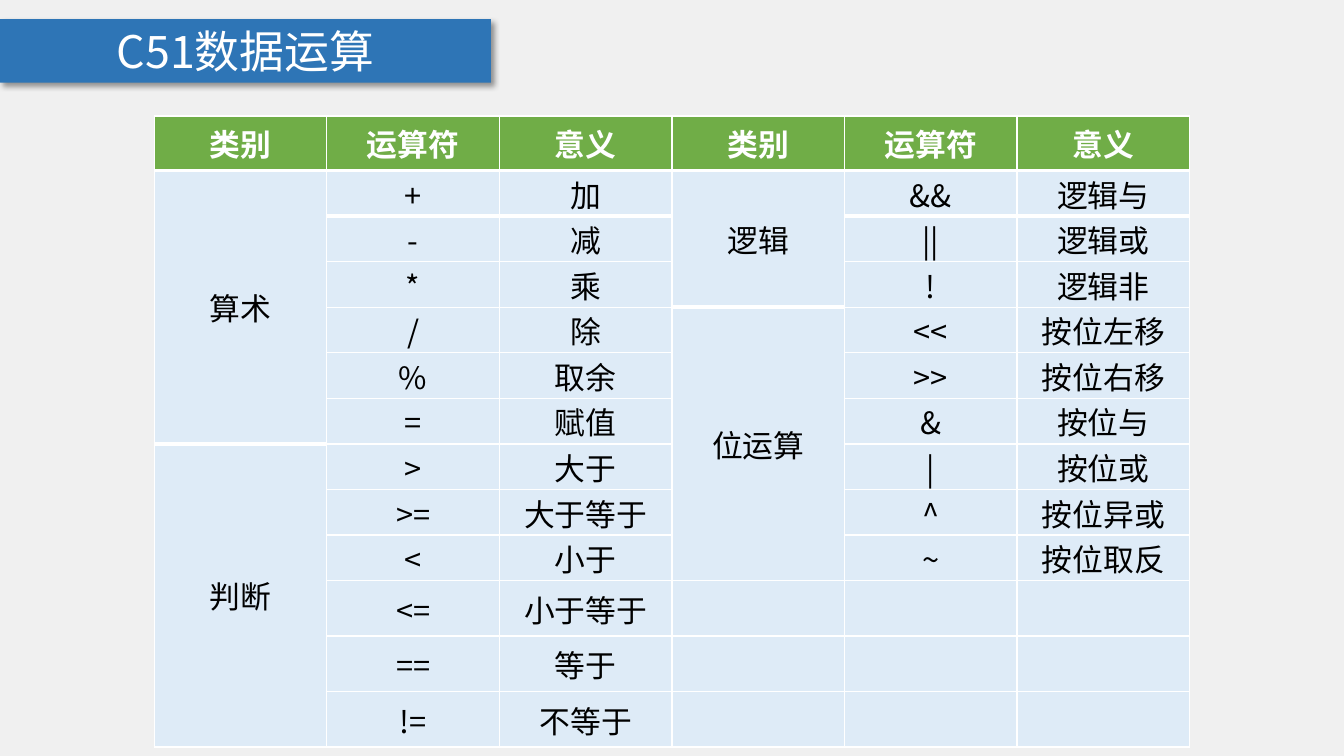
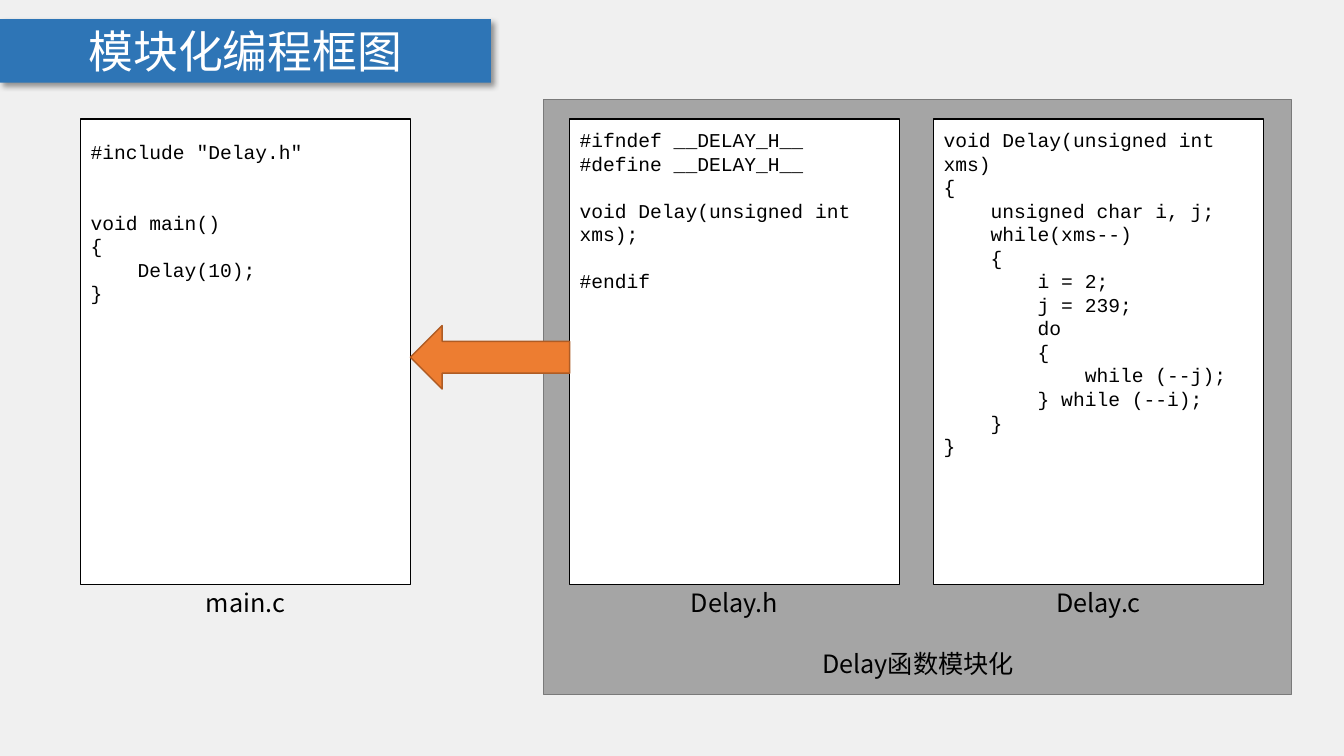
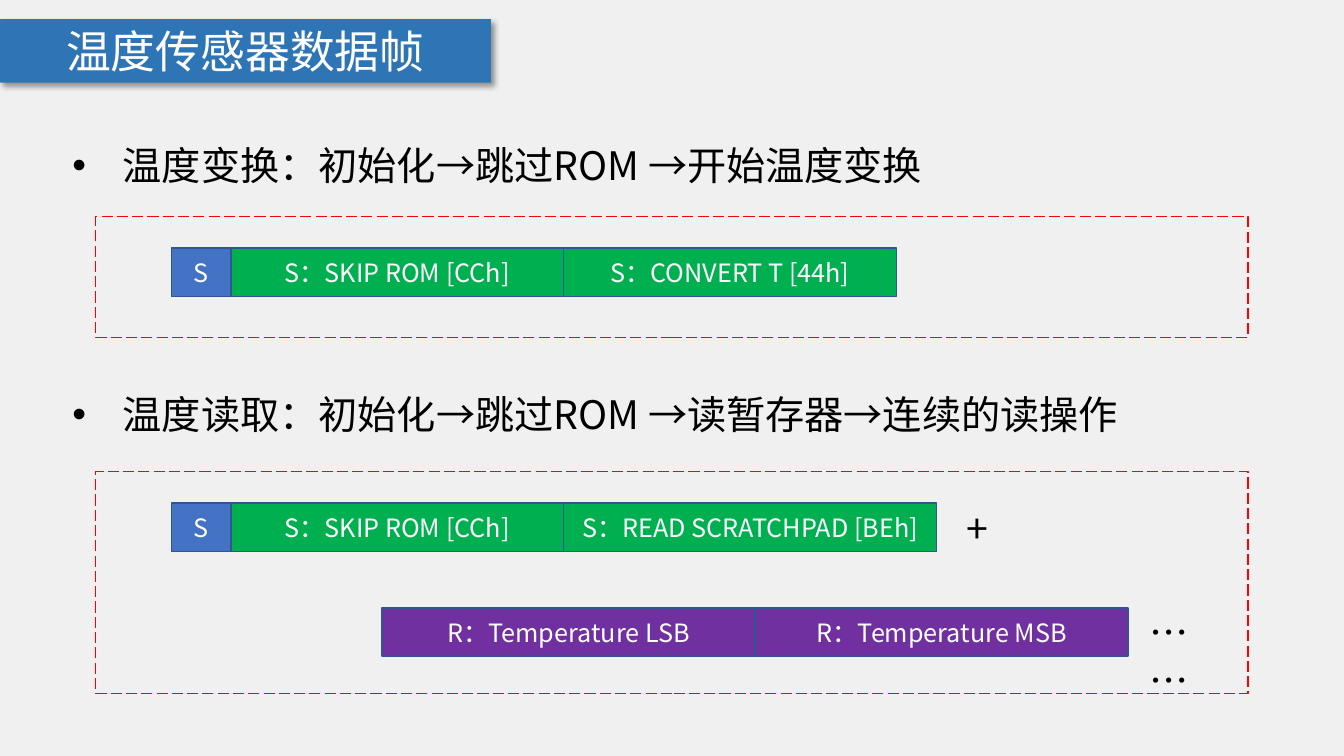
from lxml.etree import Element, SubElement
from pptx import Presentation
from pptx.dml.color import RGBColor
from pptx.enum.dml import MSO_LINE
from pptx.enum.shapes import MSO_SHAPE
from pptx.enum.text import MSO_ANCHOR, MSO_AUTO_SIZE, PP_ALIGN
from pptx.oxml.ns import qn
from pptx.util import Inches, Pt

SANS = "Noto Sans CJK SC"
MONO = "Courier New"
WHITE, BLACK = "FFFFFF", "000000"
PAGE, BANNER = "F0F0F0", "2E75B6"
TABLE_HEAD, TABLE_BODY = "70AD47", "DEEBF7"
MODULE, MODULE_EDGE = "A5A5A5", "7A7A7A"
ARROW, ARROW_EDGE = "ED7D31", "AF5C24"
START, SEND, RECEIVE, FRAME_EDGE = "4472C4", "00B050", "7030A0", "325491"
DASHED = "FF0000"
CODE_LINE = 16.8

OPERATORS = [
    [
        ("算术", [("+", "加"), ("-", "减"), ("*", "乘"), ("/", "除"), ("%", "取余"), ("=", "赋值")]),
        ("判断", [(">", "大于"), (">=", "大于等于"), ("<", "小于"), ("<=", "小于等于"),
                ("==", "等于"), ("!=", "不等于")]),
    ],
    [
        ("逻辑", [("&&", "逻辑与"), ("||", "逻辑或"), ("!", "逻辑非")]),
        ("位运算", [("<<", "按位左移"), (">>", "按位右移"), ("&", "按位与"), ("|", "按位或"),
                 ("^", "按位异或"), ("~", "按位取反")]),
    ],
]

MAIN_C = """#include "Delay.h"


void main()
{
    Delay(10);
}"""

DELAY_H = """#ifndef __DELAY_H__
#define __DELAY_H__

void Delay(unsigned int xms);

#endif"""

DELAY_C = """void Delay(unsigned int xms)
{
    unsigned char i, j;
    while(xms--)
    {
        i = 2;
        j = 239;
        do
        {
            while (--j);
        } while (--i);
    }
}"""


def rgb(value):
    return RGBColor.from_string(value)


def write(paragraph, text, size=18, color=BLACK, font=SANS, bold=False, align=PP_ALIGN.CENTER):
    paragraph.alignment = align
    run = paragraph.add_run()
    run.text = text
    run.font.size = Pt(size)
    run.font.bold = bold
    run.font.color.rgb = rgb(color)
    run.font.name = font
    SubElement(run._r.get_or_add_rPr(), qn("a:ea"), typeface=font)


def add_block(slide, left, top, width, height, fill=None, line=None, kind=MSO_SHAPE.RECTANGLE):
    block = slide.shapes.add_shape(kind, Inches(left), Inches(top), Inches(width), Inches(height))
    block.shadow.inherit = False
    if fill:
        block.fill.solid()
        block.fill.fore_color.rgb = rgb(fill)
    else:
        block.fill.background()
    if line:
        block.line.color.rgb = rgb(line)
        block.line.width = Pt(1)
    else:
        block.line.fill.background()
    block.text_frame.word_wrap = True
    block.text_frame.vertical_anchor = MSO_ANCHOR.MIDDLE
    return block


def add_label(slide, left, top, width, height, text, **style):
    label = slide.shapes.add_textbox(Inches(left), Inches(top), Inches(width), Inches(height))
    label.text_frame.word_wrap = True
    label.text_frame.auto_size = MSO_AUTO_SIZE.SHAPE_TO_FIT_TEXT
    paragraph = label.text_frame.paragraphs[0]
    write(paragraph, text, **style)
    return paragraph


def add_titled_slide(prs, title):
    slide = prs.slides.add_slide(prs.slide_layouts[6])
    banner = add_block(slide, 0, 0.19, 4.87, 0.63, BANNER)
    write(banner.text_frame.paragraphs[0], title, size=32, color=WHITE)
    effects = banner._element.spPr.find(qn("a:effectLst"))
    shadow = SubElement(effects, qn("a:outerShdw"), blurRad=str(Pt(4)), dist=str(Pt(3)),
                        dir=str(45 * 60000), algn="tl", rotWithShape="0")
    tint = SubElement(shadow, qn("a:srgbClr"), val=BLACK)
    SubElement(tint, qn("a:alpha"), val="40000")
    return slide


def fill_cell(cell, text, fill, color=BLACK, bold=False, margins=(0.01, 0.01, 0.01, 0)):
    cell.fill.solid()
    cell.fill.fore_color.rgb = rgb(fill)
    cell.vertical_anchor = MSO_ANCHOR.MIDDLE
    cell.margin_left, cell.margin_top, cell.margin_right, cell.margin_bottom = map(Inches, margins)
    if text:
        write(cell.text_frame.paragraphs[0], text, size=22, color=color, bold=bold)


def set_edge(cell, side, width):
    edge = Element(qn(f"a:ln{side}"), w=str(Pt(width)))
    SubElement(SubElement(edge, qn("a:solidFill")), qn("a:srgbClr"), val=WHITE)
    cell._tc.get_or_add_tcPr().insert(0, edge)


def add_operator_table(slide, left, top, width):
    heights = [0.54] + [0.45] * 9 + [0.55] * 3
    table = slide.shapes.add_table(len(heights), 6, Inches(left), Inches(top),
                                   Inches(width), Inches(sum(heights))).table
    for row, height in zip(table.rows, heights):
        row.height = Inches(height)
    padded = (0.1, 0.05, 0.1, 0.05)
    texts = {}
    for half, groups in enumerate(OPERATORS):
        first_column, row = half * 3, 1
        for category, entries in groups:
            texts[row, first_column] = category
            last_row = row + len(entries) - 1
            table.cell(row, first_column).merge(table.cell(last_row, first_column))
            for symbol, meaning in entries:
                texts[row, first_column + 1] = symbol
                texts[row, first_column + 2] = meaning
                row += 1
    for column, heading in enumerate(["类别", "运算符", "意义"] * 2):
        fill_cell(table.cell(0, column), heading, TABLE_HEAD, WHITE, True, padded)
        for row in range(1, len(heights)):
            margins = {"margins": padded} if column % 3 == 0 else {}
            fill_cell(table.cell(row, column), texts.get((row, column)), TABLE_BODY, **margins)
        set_edge(table.cell(0, column), "B", 3)
        set_edge(table.cell(1, column), "T", 3)


def add_code_panel(slide, left, top, file_name, code, inset):
    width, height, label_width = 3.27, 4.62, 2.07
    frame = add_block(slide, left, top, width, height, WHITE, BLACK).text_frame
    frame.vertical_anchor = MSO_ANCHOR.TOP
    frame.margin_top = Inches(inset)
    paragraph, skipped = frame.paragraphs[0], 0
    for number, line in enumerate(code.split("\n")):
        if not line:
            skipped += 1
            continue
        if number:
            paragraph = frame.add_paragraph()
            paragraph.space_before = Pt(skipped * CODE_LINE)
        paragraph.line_spacing = Pt(CODE_LINE)
        write(paragraph, line, size=14, font=MONO, align=PP_ALIGN.LEFT)
        skipped = 0
    add_label(slide, left + (width - label_width) / 2, top + height - 0.02, label_width, 0.4, file_name)


def add_delay_module(slide, left, top):
    add_block(slide, left, top, 7.42, 5.9, MODULE, MODULE_EDGE)
    add_code_panel(slide, left + 0.26, top + 0.19, "Delay.h", DELAY_H, 0.09)
    add_code_panel(slide, left + 3.87, top + 0.19, "Delay.c", DELAY_C, 0.09)
    add_label(slide, left + 2.02, top + 5.39, 3.39, 0.4, "Delay函数模块化")


def add_bullet_heading(slide, left, top, text):
    heading = add_label(slide, left, top, 12.08, 0.57, text, size=28, align=PP_ALIGN.LEFT)
    properties = heading._p.get_or_add_pPr()
    properties.set("marL", str(Inches(0.5)))
    properties.set("indent", str(Inches(-0.5)))
    SubElement(properties, qn("a:buFont"), typeface="Arial")
    SubElement(properties, qn("a:buChar"), char="•")


def add_byte_chain(slide, left, top, parts, trailing=None):
    for text, width, fill in parts:
        part = add_block(slide, left, top, width, 0.48, fill, FRAME_EDGE)
        write(part.text_frame.paragraphs[0], text, color=WHITE)
        left += width
    if trailing:
        add_label(slide, left, top - 0.04, 0.81, 0.57, trailing, size=28)


def add_data_frame(slide, left, top, height, chains):
    for indent, drop, parts, trailing in chains:
        add_byte_chain(slide, left + indent, top + drop, parts, trailing)
    border = add_block(slide, left, top, 11.43, height, line=DASHED)
    border.line.dash_style = MSO_LINE.LONG_DASH


def build_operators(prs):
    slide = add_titled_slide(prs, "C51数据运算")
    add_operator_table(slide, 1.53, 1.15, 10.27)


def build_modules(prs):
    slide = add_titled_slide(prs, "模块化编程框图")
    add_delay_module(slide, 5.39, 0.99)
    add_code_panel(slide, 0.8, 1.18, "main.c", MAIN_C, 0.21)
    add_block(slide, 4.07, 3.23, 1.58, 0.63, ARROW, ARROW_EDGE, MSO_SHAPE.LEFT_ARROW)


def build_data_frames(prs):
    slide = add_titled_slide(prs, "温度传感器数据帧")
    opening = [("S", 0.59, START), ("S：SKIP ROM [CCh]", 3.3, SEND)]
    convert = opening + [("S：CONVERT T [44h]", 3.3, SEND)]
    read = opening + [("S：READ SCRATCHPAD [BEh]", 3.7, SEND)]
    reply = [(f"R：Temperature {part}", 3.7, RECEIVE) for part in ("LSB", "MSB")]
    add_bullet_heading(slide, 0.62, 1.35, "温度变换：初始化→跳过ROM →开始温度变换")
    add_data_frame(slide, 0.95, 2.15, 1.2, [(0.75, 0.31, convert, None)])
    add_bullet_heading(slide, 0.62, 3.82, "温度读取：初始化→跳过ROM →读暂存器→连续的读操作")
    add_data_frame(slide, 0.95, 4.68, 2.2, [(0.75, 0.31, read, "+"), (2.84, 1.35, reply, "……")])


def main():
    prs = Presentation()
    prs.slide_width, prs.slide_height = Inches(13.33), Inches(7.5)
    background = prs.slide_master.background.fill
    background.solid()
    background.fore_color.rgb = rgb(PAGE)
    build_operators(prs)
    build_modules(prs)
    build_data_frames(prs)
    prs.save("out.pptx")


if __name__ == "__main__":
    main()
